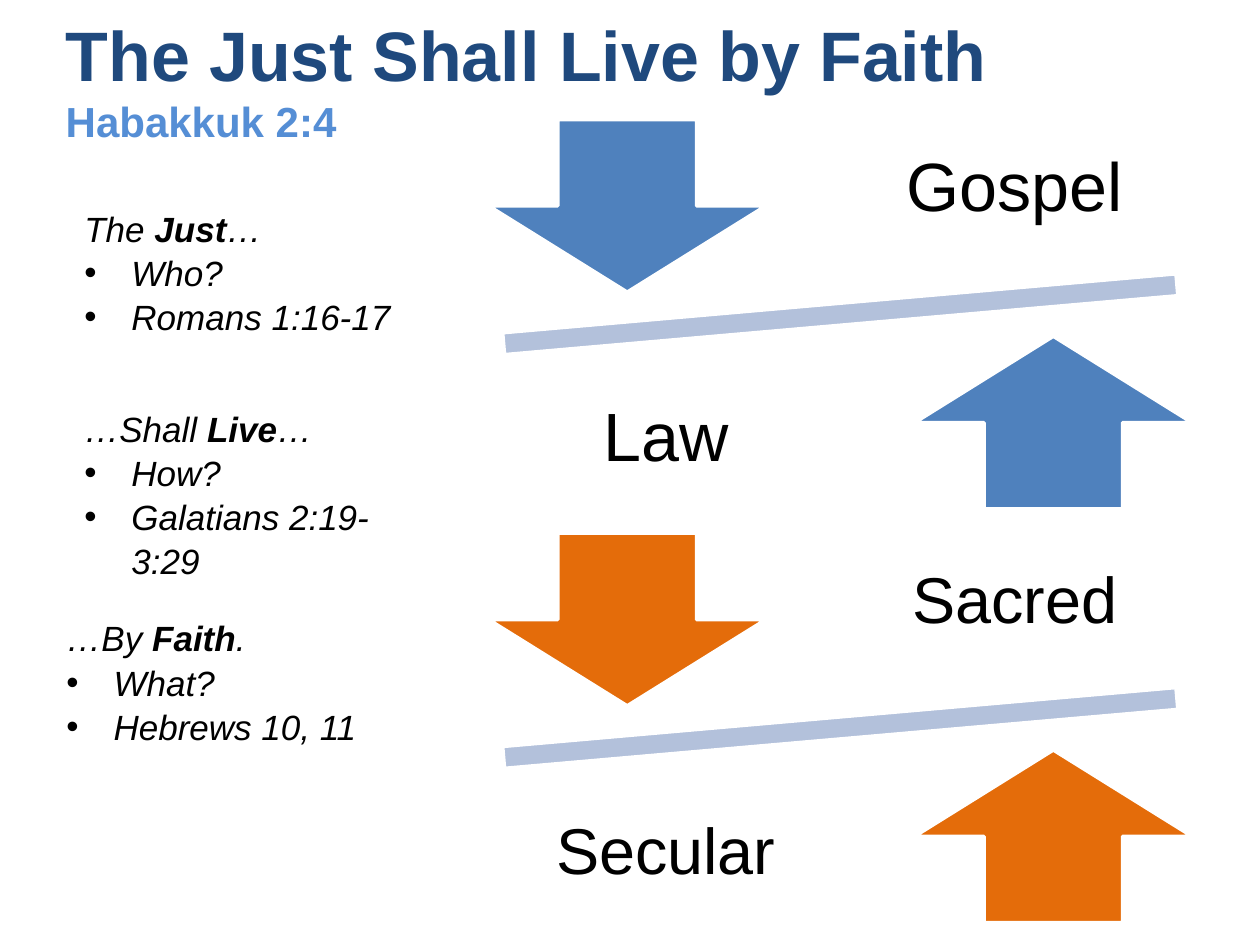
from dataclasses import dataclass

from lxml import etree
from pptx import Presentation
from pptx import util as u
from pptx.dml.color import RGBColor
from pptx.enum import shapes, text
from pptx.oxml import ns


@dataclass(frozen=True)
class Theme:
    font: str = "Arial"
    title: str = "1F497D"
    subtitle: str = "558ED5"
    ink: str = "000000"
    edge: str = "FFFFFF"
    bar: str = "B3C1DB"
    blue: str = "4F81BD"
    orange: str = "E46C0A"
    title_size: int = 40
    subtitle_size: int = 24
    body_size: int = 20
    gospel_size: int = 39
    sacred_size: int = 37


THEME = Theme()


def apply_format(target, **values):
    for name, value in values.items():
        setattr(target, name, value)


def format_font(font, size, color, **values):
    apply_format(font, name=THEME.font, size=u.Pt(size), **values)
    font.color.rgb = RGBColor.from_string(color)


def place(shape, box):
    for name, value in zip(("left", "top", "width", "height"), box):
        setattr(shape, name, u.Cm(value))


def add_title(slide, box, heading, reference):
    title = slide.shapes.title
    place(title, box)
    apply_format(
        title.text_frame,
        auto_size=text.MSO_AUTO_SIZE.NONE,
        vertical_anchor=text.MSO_ANCHOR.MIDDLE,
        word_wrap=True,
    )
    paragraph = title.text_frame.paragraphs[0]
    paragraph.alignment = text.PP_ALIGN.LEFT
    run = paragraph.add_run()
    run.text = heading
    format_font(run.font, THEME.title_size, THEME.title, bold=True)
    paragraph.add_line_break()
    run = paragraph.add_run()
    run.text = reference
    format_font(run.font, THEME.subtitle_size, THEME.subtitle, bold=True)


def add_bullet(paragraph):
    properties = paragraph._p.get_or_add_pPr()
    indent = u.Cm(0.95)
    properties.set("marL", str(indent))
    properties.set("indent", str(-indent))
    etree.SubElement(properties, ns.qn("a:buFont")).set("typeface", THEME.font)
    etree.SubElement(properties, ns.qn("a:buChar")).set("char", "•")


def add_phrase(slide, box, phrase, points):
    frame = slide.shapes.add_textbox(*map(u.Cm, box)).text_frame
    frame.word_wrap = True
    heading = frame.paragraphs[0]
    for index, part in enumerate(phrase):
        run = heading.add_run()
        run.text = part
        format_font(run.font, THEME.body_size, THEME.ink, italic=True, bold=index == 1)
    for point in points:
        paragraph = frame.add_paragraph()
        add_bullet(paragraph)
        run = paragraph.add_run()
        run.text = point
        format_font(run.font, THEME.body_size, THEME.ink, italic=True)
    for paragraph in frame.paragraphs:
        paragraph.line_spacing = 1.05


def add_block(group, kind, box, color, rotation=0):
    shape = group.shapes.add_shape(kind, *map(u.Cm, box))
    shape.rotation = rotation
    shape.shadow.inherit = False
    shape.fill.solid()
    shape.fill.fore_color.rgb = RGBColor.from_string(color)
    shape.line.color.rgb = RGBColor.from_string(THEME.edge)
    shape.line.width = u.Pt(2)


def add_label(group, box, wording, size):
    frame = group.shapes.add_textbox(*map(u.Cm, box)).text_frame
    margins = ("margin_left", "margin_top", "margin_right", "margin_bottom")
    apply_format(
        frame,
        word_wrap=True,
        vertical_anchor=text.MSO_ANCHOR.MIDDLE,
        **dict.fromkeys(margins, u.Cm(0.75)),
    )
    paragraph = frame.paragraphs[0]
    apply_format(paragraph, alignment=text.PP_ALIGN.CENTER, line_spacing=0.9)
    run = paragraph.add_run()
    run.text = wording
    format_font(run.font, size, THEME.ink)


def add_balance(slide, box, upper, lower, color, size):
    left, top, width, height = box
    bar_height = 1.88
    arrow_width, arrow_height = 5.59, 3.48
    label_width, label_height = 5.97, 3.66

    def opposite(part):
        x, y, w, h = part
        return 2 * left + width - x - w, 2 * top + height - y - h, w, h

    group = slide.shapes.add_group_shape()
    kinds = shapes.MSO_SHAPE
    bar = (left, top + (height - bar_height) / 2, width, bar_height)
    arrow = (left + 2.18, top + 0.43, arrow_width, arrow_height)
    label = (left + 9.8, top, label_width, label_height)
    add_block(group, kinds.MATH_MINUS, bar, THEME.bar, rotation=355)
    add_block(group, kinds.DOWN_ARROW, arrow, color)
    add_label(group, label, upper, size)
    add_block(group, kinds.UP_ARROW, opposite(arrow), color)
    add_label(group, opposite(label), lower, size)


def main():
    presentation = Presentation()
    apply_format(presentation, slide_width=u.Cm(25.4), slide_height=u.Cm(19.05))
    slide = presentation.slides.add_slide(presentation.slide_layouts[5])
    add_title(slide, (1.07, 0, 23.29, 3.18), "The Just Shall Live by Faith", "Habakkuk 2:4")

    phrases = [
        ((1.45, 4.01, 7.01, 2.82), ("The ", "Just", "…"), ("Who?", "Romans 1:16-17")),
        ((1.45, 8.05, 7.01, 3.68), ("…Shall ", "Live", "…"), ("How?", "Galatians 2:19-3:29")),
        ((1.09, 12.27, 7.39, 2.82), ("…By ", "Faith", "."), ("What?", "Hebrews 10, 11")),
    ]
    for phrase in phrases:
        add_phrase(slide, *phrase)

    balances = [
        ("Gospel", "Law", THEME.blue, THEME.gospel_size),
        ("Sacred", "Secular", THEME.orange, THEME.sacred_size),
    ]
    for index, balance in enumerate(balances):
        add_balance(slide, (7.67, 1.98 + index * 8.34, 18.54, 8.71), *balance)
    presentation.save("out.pptx")


if __name__ == "__main__":
    main()
